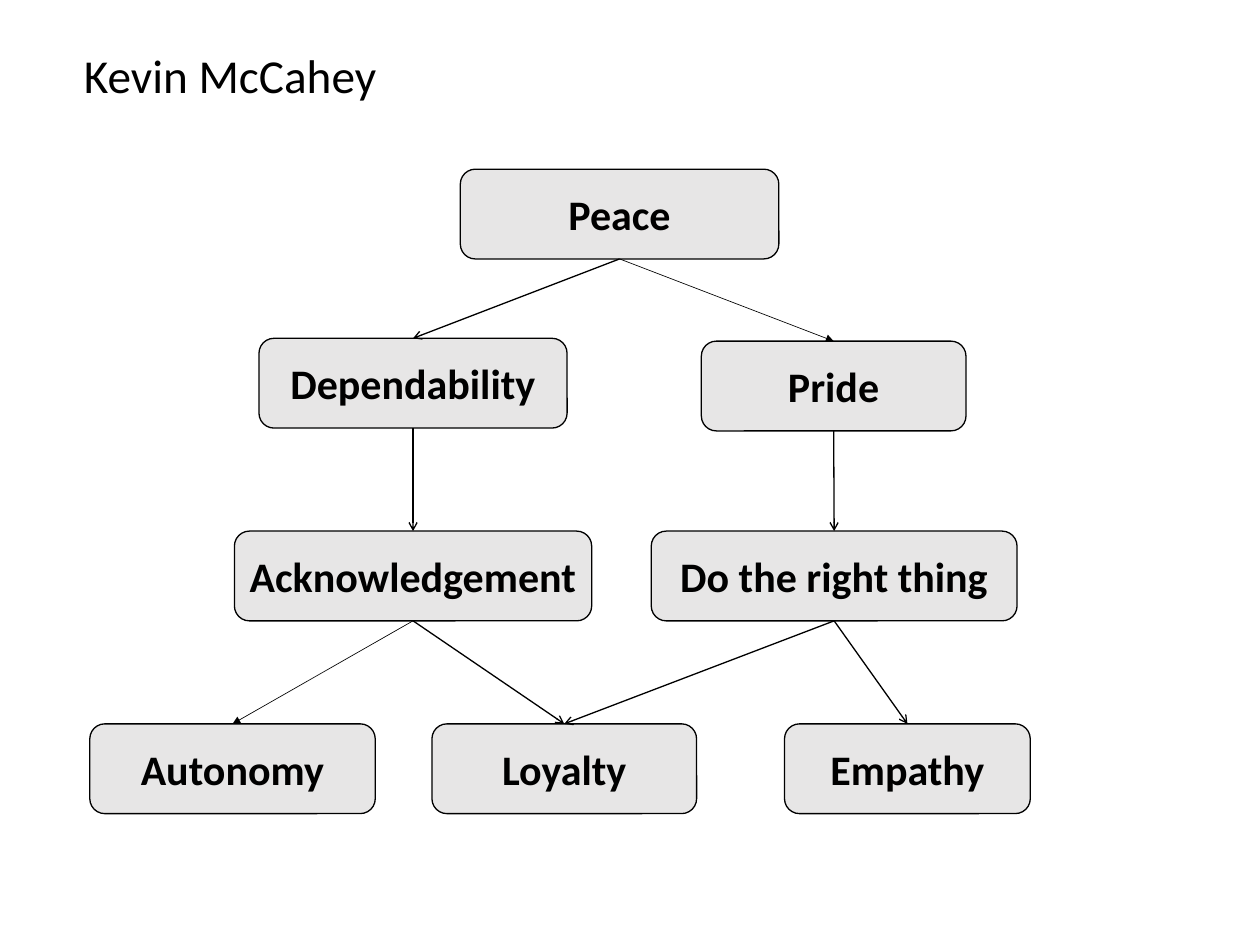
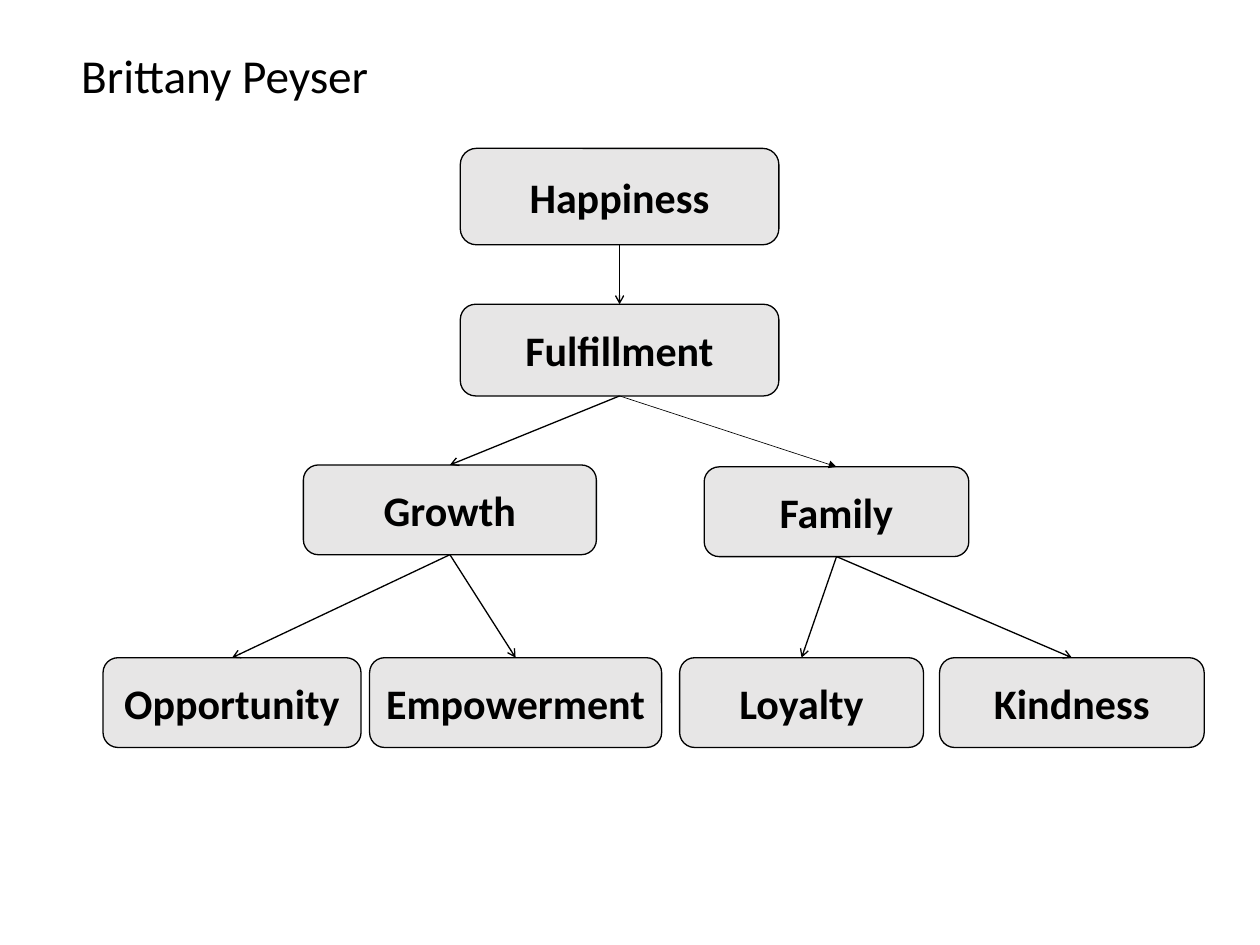
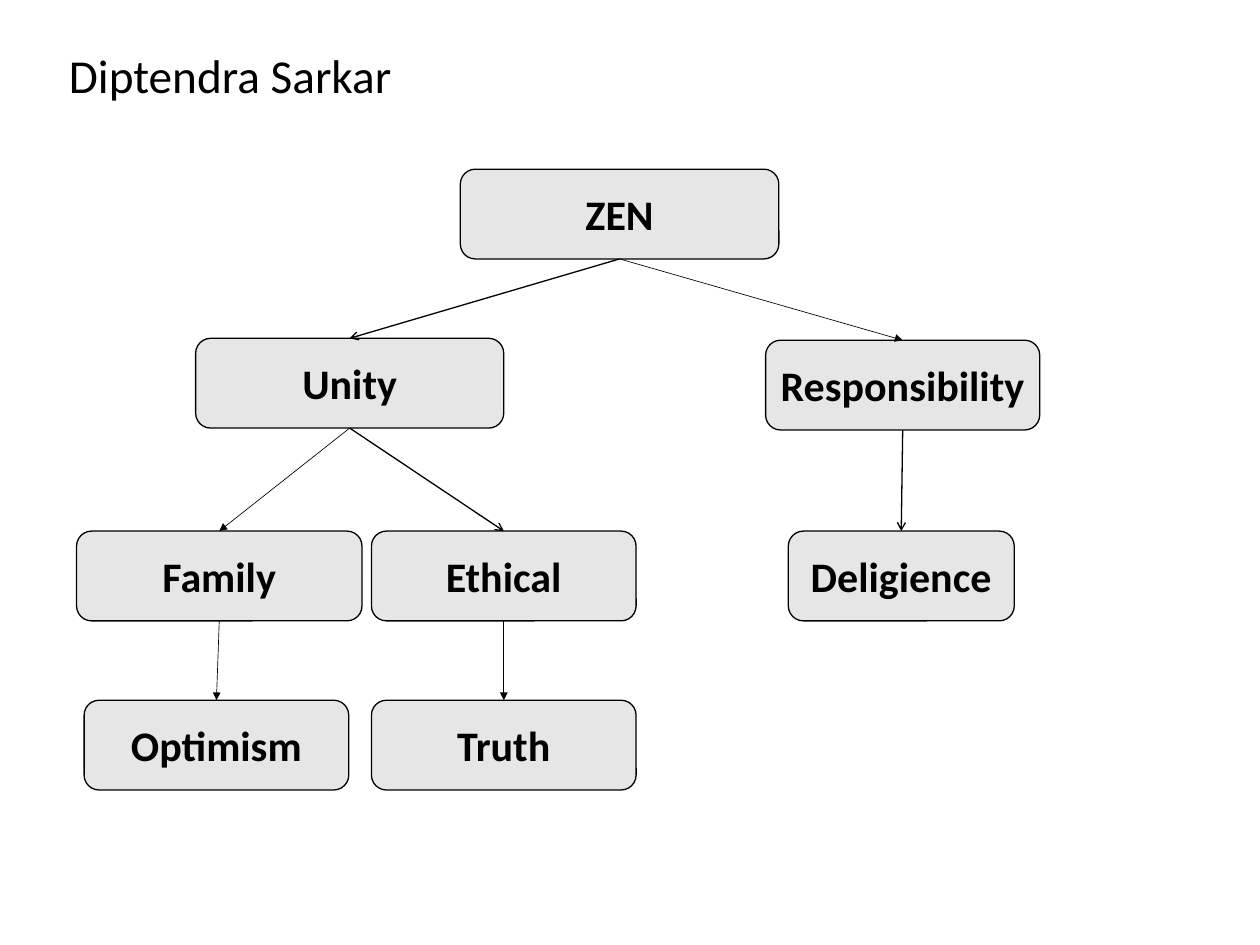
from lxml.etree import SubElement
from pptx import Presentation
from pptx.dml.color import RGBColor
from pptx.enum.shapes import MSO_CONNECTOR, MSO_SHAPE
from pptx.enum.text import MSO_ANCHOR, MSO_AUTO_SIZE, PP_ALIGN
from pptx.oxml.ns import qn
from pptx.util import Inches, Pt

COLORS = {"box": "E7E6E6", "ink": "000000"}
TITLE_FONT = {"name": "Calibri", "size": Pt(36), "bold": False}
BOX_FONT = {"name": "Calibri", "size": Pt(32), "bold": True}
TITLE_PLACE = {"left": 0, "top": Inches(0.43), "width": Inches(4.87), "height": Inches(0.71)}
TITLE_ONLY = 5
BOX_HEIGHT = 0.95
TOP_SITE, BOTTOM_SITE = 0, 2
ARROWS = {"open": (1, "arrow"), "solid": (0.5, "triangle")}

VALUE_LADDERS = [
    {
        "person": "Kevin McCahey",
        "boxes": [
            ("Peace", 4.87, 1.79, 3.37),
            ("Dependability", 2.74, 3.58, 3.26),
            ("Pride", 7.42, 3.61, 2.8),
            ("Acknowledgement", 2.48, 5.62, 3.78),
            ("Do the right thing", 6.89, 5.62, 3.87),
            ("Autonomy", 0.95, 7.66, 3.02),
            ("Loyalty", 4.57, 7.66, 2.8),
            ("Empathy", 8.3, 7.66, 2.6),
        ],
        "arrows": [
            ("Peace", "Dependability", "open"),
            ("Peace", "Pride", "solid"),
            ("Dependability", "Acknowledgement", "open"),
            ("Pride", "Do the right thing", "open"),
            ("Acknowledgement", "Autonomy", "solid"),
            ("Acknowledgement", "Loyalty", "open"),
            ("Do the right thing", "Loyalty", "open"),
            ("Do the right thing", "Empathy", "open"),
        ],
    },
    {
        "person": "Brittany Peyser ",
        "boxes": [
            ("Happiness", 4.87, 1.57, 3.37, 1.02),
            ("Fulfillment", 4.87, 3.22, 3.37, 0.97),
            ("Growth", 3.21, 4.92, 3.1),
            ("Family", 7.45, 4.94, 2.8),
            ("Opportunity", 1.09, 6.96, 2.73),
            ("Empowerment", 3.91, 6.96, 3.09),
            ("Loyalty", 7.19, 6.96, 2.58),
            ("Kindness", 9.94, 6.96, 2.8),
        ],
        "arrows": [
            ("Happiness", "Fulfillment", "open"),
            ("Fulfillment", "Growth", "open"),
            ("Fulfillment", "Family", "solid"),
            ("Growth", "Opportunity", "open"),
            ("Growth", "Empowerment", "open"),
            ("Family", "Loyalty", "open"),
            ("Family", "Kindness", "open"),
        ],
    },
    {
        "person": "Diptendra Sarkar",
        "boxes": [
            ("ZEN", 4.87, 1.79, 3.37),
            ("Unity", 2.07, 3.58, 3.26),
            ("Responsibility", 8.1, 3.6, 2.9),
            ("Family", 0.81, 5.62, 3.02),
            ("Ethical", 3.93, 5.62, 2.8),
            ("Deligience", 8.34, 5.62, 2.39),
            ("Optimism", 0.89, 7.41, 2.8),
            ("Truth", 3.93, 7.41, 2.8),
        ],
        "arrows": [
            ("ZEN", "Unity", "open"),
            ("ZEN", "Responsibility", "solid"),
            ("Unity", "Family", "solid"),
            ("Unity", "Ethical", "open"),
            ("Responsibility", "Deligience", "open"),
            ("Family", "Optimism", "solid"),
            ("Ethical", "Truth", "solid"),
        ],
    },
]


def color(name):
    """Return the named colour."""
    return RGBColor.from_string(COLORS[name])


def apply_format(target, values):
    """Set each attribute of the target from a dict."""
    for name, value in values.items():
        setattr(target, name, value)


def write_text(shape, text, font_values):
    """Write one centred line in the middle of a shape."""
    frame = shape.text_frame
    frame.text = text
    apply_format(frame, {
        "word_wrap": True,
        "auto_size": MSO_AUTO_SIZE.NONE,
        "vertical_anchor": MSO_ANCHOR.MIDDLE,
    })
    paragraph = frame.paragraphs[0]
    paragraph.alignment = PP_ALIGN.CENTER
    font = paragraph.runs[0].font
    apply_format(font, font_values)
    font.color.rgb = color("ink")


def add_title(slide, person):
    """Place the person's name in the title placeholder."""
    title = slide.shapes.title
    apply_format(title, TITLE_PLACE)
    write_text(title, person, TITLE_FONT)


def draw_line(line, width):
    """Give a line the ink colour and a width in points."""
    line.color.rgb = color("ink")
    line.width = Pt(width)


def add_value_box(slide, text, left, top, width, height=BOX_HEIGHT):
    """Add a rounded box that holds one value."""
    place = [Inches(length) for length in (left, top, width, height)]
    box = slide.shapes.add_shape(MSO_SHAPE.ROUNDED_RECTANGLE, *place)
    box.shadow.inherit = False
    box.fill.solid()
    box.fill.fore_color.rgb = color("box")
    draw_line(box.line, 1)
    write_text(box, text, BOX_FONT)
    return box


def add_arrow(slide, upper_box, lower_box, style):
    """Join the bottom of one box to the top of another."""
    width, head = ARROWS[style]
    connector = slide.shapes.add_connector(MSO_CONNECTOR.STRAIGHT, 0, 0, 0, 0)
    connector.begin_connect(upper_box, BOTTOM_SITE)
    connector.end_connect(lower_box, TOP_SITE)
    draw_line(connector.line, width)
    properties = connector.line._get_or_add_ln()
    SubElement(properties, qn("a:tailEnd"), type=head)
    SubElement(properties.getparent(), qn("a:effectLst"))


def add_ladder_slide(presentation, ladder):
    """Add a slide with one person's ladder of values."""
    slide = presentation.slides.add_slide(presentation.slide_layouts[TITLE_ONLY])
    add_title(slide, ladder["person"])
    boxes = {box[0]: add_value_box(slide, *box) for box in ladder["boxes"]}
    for upper, lower, style in ladder["arrows"]:
        add_arrow(slide, boxes[upper], boxes[lower], style)


def main():
    """Build the presentation and save it."""
    presentation = Presentation()
    presentation.slide_width = Inches(13.33)
    presentation.slide_height = Inches(10)
    for ladder in VALUE_LADDERS:
        add_ladder_slide(presentation, ladder)
    presentation.save("out.pptx")


if __name__ == "__main__":
    main()
